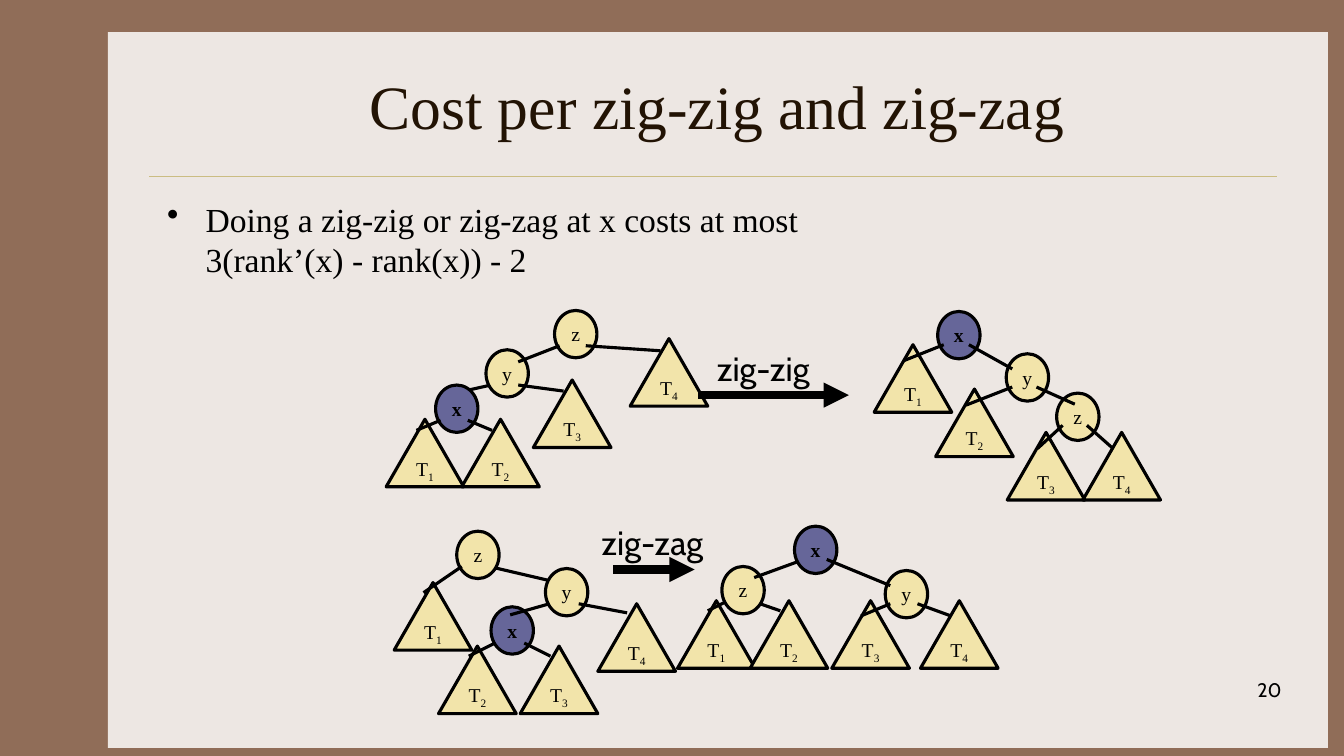
from lxml.etree import SubElement
from pptx import Presentation
from pptx.dml.color import RGBColor
from pptx.enum.shapes import MSO_CONNECTOR, MSO_SHAPE
from pptx.enum.text import MSO_ANCHOR, PP_ALIGN
from pptx.oxml.ns import qn
from pptx.util import Inches, Pt

COLORS = {"frame": "906D58", "panel": "EDE7E3", "rule": "CBBD83", "title": "221304",
          "ink": "000000", "node": "F2E4AA", "splayed": "666699"}
SERIF, SANS = "Times New Roman", "Cabin"
NODE_SIZE = (0.42, 0.47)
SUBTREE_SIZE = (0.77, 0.67)


def rgb(name):
    return RGBColor.from_string(COLORS[name])


class SlideBuilder:
    def __init__(self, slide):
        self.slide = slide
        self.shapes = slide.shapes

    def start_group(self):
        self.shapes = self.slide.shapes.add_group_shape().shapes

    def run(self, paragraph, text, size, font=SERIF, color="ink", bold=False, sub=False):
        run = paragraph.add_run()
        run.text = text
        run.font.size, run.font.name, run.font.bold = Pt(size), font, bold
        run.font.color.rgb = rgb(color)
        if sub:
            run._r.get_or_add_rPr().set("baseline", "-25000")

    def shape(self, kind, box, fill, outlined=True):
        shape = self.shapes.add_shape(kind, *map(Inches, box))
        shape.shadow.inherit = False
        shape.fill.solid()
        shape.fill.fore_color.rgb = rgb(fill)
        if outlined:
            shape.line.color.rgb = rgb("ink")
            shape.line.width = Pt(2.25)
        else:
            shape.line.fill.background()
        return shape

    def centred(self, shape):
        frame = shape.text_frame
        frame.word_wrap = False
        frame.vertical_anchor = MSO_ANCHOR.MIDDLE
        frame.paragraphs[0].alignment = PP_ALIGN.CENTER
        return frame.paragraphs[0]

    def node(self, name, left, top):
        splayed = name == "x"
        circle = self.shape(MSO_SHAPE.OVAL, (left, top, *NODE_SIZE),
                            "splayed" if splayed else "node")
        self.run(self.centred(circle), name, 14, bold=splayed)

    def subtree(self, number, left, top):
        triangle = self.shape(MSO_SHAPE.ISOSCELES_TRIANGLE, (left, top, *SUBTREE_SIZE), "node")
        label = self.centred(triangle)
        self.run(label, "T", 14)
        self.run(label, str(number), 14, sub=True)

    def line(self, x1, y1, x2, y2, width=2.25, color="ink", arrow=False):
        line = self.shapes.add_connector(MSO_CONNECTOR.STRAIGHT, *map(Inches, (x1, y1, x2, y2)))
        line.line.color.rgb = rgb(color)
        line.line.width = Pt(width)
        properties = line._element.spPr
        if arrow:
            SubElement(properties.find(qn("a:ln")), qn("a:tailEnd"), type="triangle")
        SubElement(properties, qn("a:effectLst"))

    def text_box(self, *box):
        return self.shapes.add_textbox(*map(Inches, box))

    def tree(self, nodes, subtrees, edges, covered_edges=()):
        for edge in covered_edges:
            self.line(*edge)
        for name, place in nodes.items():
            self.node(name, *place)
        for number, place in enumerate(subtrees, 1):
            self.subtree(number, *place)
        for edge in edges:
            self.line(*edge)

    def rotation(self, name, label_box, arrow):
        self.run(self.centred(self.text_box(*label_box)), name, 24, SANS)
        self.line(*arrow, width=6, arrow=True)


ZIG_ZIG_BEFORE = dict(
    nodes={"y": (4.82, 3.47), "x": (4.32, 3.82), "z": (5.5, 3.08)},
    subtrees=[(3.83, 4.16), (4.58, 4.16), (5.29, 3.77), (6.25, 3.36)],
    edges=[(4.37, 4.17, 4.13, 4.27), (4.64, 4.17, 4.88, 4.27), (5.14, 3.82, 5.59, 3.88),
           (5.55, 3.43, 5.14, 3.59), (5.81, 3.43, 6.55, 3.48)],
    covered_edges=[(4.87, 3.82, 4.51, 3.9)])
ZIG_ZIG_AFTER = dict(
    nodes={"y": (9.98, 3.51), "z": (10.48, 3.9), "x": (9.3, 3.09)},
    subtrees=[(8.67, 3.42), (9.28, 3.86), (9.99, 4.29), (10.74, 4.29)],
    edges=[(10.28, 3.84, 10.66, 4.01), (10.78, 4.22, 11.04, 4.45), (10.54, 4.22, 10.29, 4.45),
           (10.04, 3.84, 9.58, 4.02), (9.61, 3.42, 10.04, 3.66), (9.36, 3.42, 8.96, 3.58)])
ZIG_ZAG_BEFORE = dict(
    nodes={"y": (5.41, 5.64), "x": (4.87, 6.02), "z": (4.53, 5.27)},
    subtrees=[(3.91, 5.78), (4.35, 6.41), (5.16, 6.41), (5.93, 5.99)],
    edges=[(5.45, 5.99, 5.06, 6.1), (4.91, 6.38, 4.65, 6.51), (5.2, 6.38, 5.46, 6.51),
           (5.74, 5.99, 6.22, 6.08), (4.58, 5.62, 4.2, 5.88)],
    covered_edges=[(4.85, 5.62, 5.45, 5.76)])
ZIG_ZAG_AFTER = dict(
    nodes={"y": (8.78, 5.66), "x": (7.88, 5.22), "z": (7.16, 5.62)},
    subtrees=[(6.72, 5.96), (7.44, 5.96), (8.25, 5.96), (9.13, 5.96)],
    edges=[(8.83, 5.81, 8.2, 5.55), (8.83, 5.99, 8.54, 6.11), (9.1, 5.99, 9.43, 6.11),
           (7.48, 5.73, 7.92, 5.57), (7.2, 5.97, 7.02, 6.06)],
    covered_edges=[(7.48, 5.97, 7.74, 6.06)])


def main():
    deck = Presentation()
    deck.slide_width, deck.slide_height = Inches(13.33), Inches(7.5)
    slide = deck.slides.add_slide(deck.slide_layouts[5])
    builder = SlideBuilder(slide)

    # Background frame, panel behind the title, and rule
    slide.background.fill.solid()
    slide.background.fill.fore_color.rgb = rgb("frame")
    panel = builder.shape(MSO_SHAPE.RECTANGLE, (1.07, 0.32, 12.1, 7.1), "panel", outlined=False)
    slide.shapes._spTree.insert(2, panel._element)
    builder.line(1.48, 1.75, 12.67, 1.75, width=0.25, color="rule")

    # Title
    title = slide.shapes.title
    title.left, title.top, title.width, title.height = map(Inches, (1.56, 0.42, 11.11, 1.25))
    title.text_frame.vertical_anchor = MSO_ANCHOR.MIDDLE
    heading = title.text_frame.paragraphs[0]
    heading.alignment = PP_ALIGN.CENTER
    builder.run(heading, "Cost per zig-zig and zig-zag", 44, color="title")

    # Cost bound
    bound = builder.text_box(1.56, 1.92, 11.11, 0.95).text_frame
    bound.word_wrap = True
    claim = bound.paragraphs[0]
    bullet = claim._p.get_or_add_pPr()
    bullet.set("marL", str(Inches(0.38)))
    bullet.set("indent", str(Inches(-0.38)))
    SubElement(bullet, qn("a:buChar"), char="•")
    builder.run(claim, "Doing a zig-zig or zig-zag at x costs at most", 24)
    claim.add_line_break()
    builder.run(claim, "3(rank’(x) - rank(x)) - 2", 24)

    # Slide number
    number = builder.text_box(10.03, 6.68, 2.78, 0.5).text_frame
    number.word_wrap = True
    number.paragraphs[0].alignment = PP_ALIGN.RIGHT
    builder.run(number.paragraphs[0], "20", 14, SANS)

    # Zig-zig and zig-zag rotations
    for name, before, after, label_box, arrow in (
            ("zig-zig", ZIG_ZIG_BEFORE, ZIG_ZIG_AFTER, (7, 3.4, 1.14, 0.5), (6.92, 3.92, 8.42, 3.92)),
            ("zig-zag", ZIG_ZAG_BEFORE, ZIG_ZAG_AFTER, (5.85, 5.13, 1.24, 0.5), (6.08, 5.65, 6.89, 5.65))):
        builder.start_group()
        builder.tree(**before)
        builder.tree(**after)
        builder.rotation(name, label_box, arrow)

    deck.save("out.pptx")


if __name__ == "__main__":
    main()
